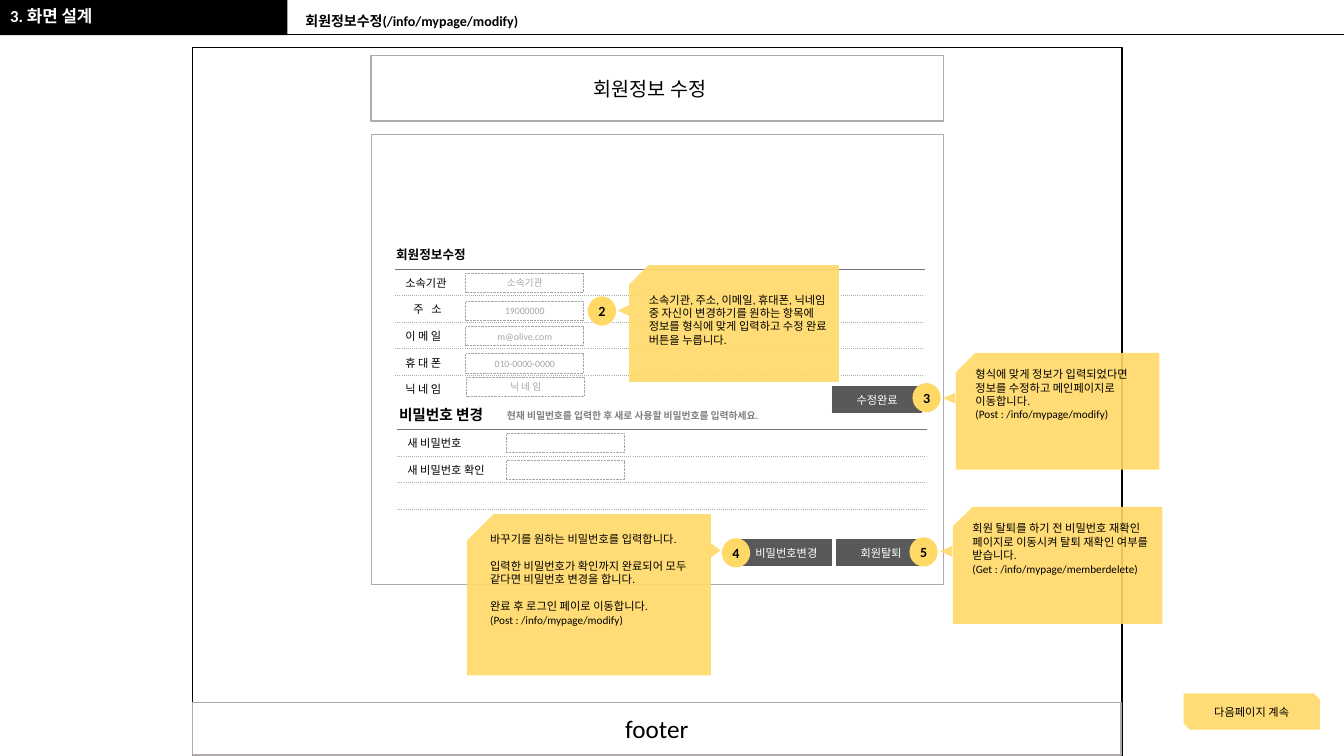
from lxml.etree import SubElement
from pptx import Presentation
from pptx.dml.color import RGBColor
from pptx.enum.dml import MSO_LINE
from pptx.enum.shapes import MSO_CONNECTOR, MSO_SHAPE
from pptx.enum.text import MSO_ANCHOR, MSO_AUTO_SIZE, PP_ALIGN
from pptx.oxml.ns import qn
from pptx.util import Inches, Pt

COLORS = {
    "black": "000000", "white": "FFFFFF", "frame": "AFABAB", "rule": "767171",
    "field": "A5A5A5", "hint": "A6A6A6", "button": "595959", "note": "FFD966",
    "guide": "808080",
}
RECT, OVAL = MSO_SHAPE.RECTANGLE, MSO_SHAPE.OVAL
LEFT, CENTER = PP_ALIGN.LEFT, PP_ALIGN.CENTER


def add_box(kind, at, fill, line=None, width=1, dash=None, alpha=None):
    sp = s.shapes.add_shape(kind, *[Inches(v) for v in at])
    sp.shadow.inherit = False
    sp.fill.solid()
    sp.fill.fore_color.rgb = RGBColor.from_string(COLORS[fill])
    if alpha:
        color = sp.fill._xPr.find(qn("a:solidFill"))[0]
        SubElement(color, qn("a:alpha"), val=str(alpha * 1000))
    if line:
        sp.line.color.rgb = RGBColor.from_string(COLORS[line])
        sp.line.width = Pt(width)
        sp.line.dash_style = dash
    else:
        sp.line.fill.background()
    return sp


def write(tf, lines, size, color="black", bold=False, align=CENTER,
          anchor=MSO_ANCHOR.MIDDLE, gaps=()):
    tf.word_wrap = True
    tf.vertical_anchor = anchor
    for i, line in enumerate(lines):
        p = tf.paragraphs[0] if i == 0 else tf.add_paragraph()
        p.alignment = align
        if i in gaps:
            p.space_before = Pt(size * 1.2)
        r = p.add_run()
        r.text = line
        style = {"name": "Calibri", "size": Pt(size), "bold": bold}
        for name, value in style.items():
            setattr(r.font, name, value)
        r.font.color.rgb = RGBColor.from_string(COLORS[color])


prs = Presentation()
prs.slide_width, prs.slide_height = Inches(13.33), Inches(7.5)
s = prs.slides.add_slide(prs.slide_layouts[2])

# Header band and its rule, behind the placeholders
title, path_label = s.placeholders[0], s.placeholders[1]
band = add_box(RECT, (0, 0, 2.85, 0.35), "black")
rule = s.shapes.add_connector(MSO_CONNECTOR.STRAIGHT, Inches(2.76), Inches(0.34),
                              Inches(13.33), Inches(0.34))
rule.line.color.rgb = RGBColor.from_string(COLORS["black"])
rule.line.width = Pt(0.5)
SubElement(rule.element.spPr, qn("a:effectLst"))
for back in (band, rule):
    title.element.addprevious(back.element)

# Header text
for ph, at, text, size, color in [
    (title, (0, 0.03, 2.85, 0.32), "3. 화면 설계", 12, "white"),
    (path_label, (2.93, 0.09, 8.57, 0.26), "회원정보수정(/info/mypage/modify)", 10, "black"),
]:
    for name, value in zip(("left", "top", "width", "height"), at):
        setattr(ph, name, Inches(value))
    write(ph.text_frame, [text], size, color, True, LEFT, MSO_ANCHOR.TOP)
    ph.text_frame.auto_size = MSO_AUTO_SIZE.NONE
    p = ph.text_frame.paragraphs[0]
    p.line_spacing, p.space_before = 0.9, Pt(0)

# Page frames
add_box(RECT, (1.91, 0.47, 9.22, 7.05), "white", "black")
add_box(RECT, (3.68, 1.33, 5.68, 4.47), "white", "frame", 0.25)
add_box(RECT, (3.68, 0.55, 5.68, 0.65), "white", "frame")
heading = s.shapes.add_textbox(Inches(5.79), Inches(0.71), Inches(1.47), Inches(0.34))
write(heading.text_frame, ["회원정보 수정"], 14, align=LEFT, anchor=MSO_ANCHOR.TOP)
footer = add_box(RECT, (1.91, 6.97, 9.21, 0.52), "white", "frame")
write(footer.text_frame, ["footer"], 18)

# Section labels
for at, text, size, color in [
    ((3.83, 2.37, 1.09, 0.31), "회원정보수정", 9, "black"),
    ((3.86, 3.96, 1.38, 0.31), "비밀번호 변경", 10.5, "black"),
    ((4.93, 3.99, 2.93, 0.26),
     "현재 비밀번호를 입력한 후 새로 사용할 비밀번호를 입력하세요.", 7, "guide"),
]:
    label = add_box(RECT, at, "white")
    write(label.text_frame, [text], size, color, True, LEFT)

# Form tables
for x, y, height, labels in [
    (3.92, 2.67, 1.32, ["소속기관", "주 소", "이 메 일", "휴 대 폰", "닉 네 임"]),
    (3.94, 4.26, 1.06, ["새 비밀번호", "새 비밀번호 확인", "", ""]),
]:
    table = s.shapes.add_table(len(labels), 1, Inches(x), Inches(y),
                               Inches(5.25), Inches(height)).table
    table.first_row = table.horz_banding = False
    style_id = table._tbl.tblPr.find(qn("a:tableStyleId"))
    style_id.text = "{2D5ABB26-0587-4C30-8999-92F81FD0307C}"
    for i, text in enumerate(labels):
        cell = table.cell(i, 0)
        cell.vertical_anchor = MSO_ANCHOR.MIDDLE
        tcPr = cell._tc.get_or_add_tcPr()
        edges = [("a:lnT", "rule", 1, "solid") if i == 0
                 else ("a:lnT", "frame", 0.75, "sysDot")]
        if i < len(labels) - 1:
            edges.append(("a:lnB", "frame", 0.75, "sysDot"))
        for tag, color, width, dash in edges:
            ln = SubElement(tcPr, qn(tag), w=str(Pt(width)))
            fill = SubElement(ln, qn("a:solidFill"))
            SubElement(fill, qn("a:srgbClr"), val=COLORS[color])
            SubElement(ln, qn("a:prstDash"), val=dash)
        cell.fill.background()
        p = cell.text_frame.paragraphs[0]
        if not text:
            SubElement(p._p, qn("a:endParaRPr"), sz="800")
            continue
        r = p.add_run()
        r.text = text
        r.font.name, r.font.size = "Calibri", Pt(8)
        r.font.color.rgb = RGBColor.from_string(COLORS["black"])
        if text == "주 소":
            cell.margin_left = Inches(0.18)
            r.font._element.set("spc", "180")

# Input fields
for x, y, text in [
    (4.62, 2.71, "소속기관"), (4.62, 2.99, "19000000"), (4.62, 3.24, "m@olive.com"),
    (4.62, 3.51, "010-0000-0000"), (4.63, 3.74, "닉 네 임"),
    (5.02, 4.3, ""), (5.02, 4.57, ""),
]:
    field = add_box(RECT, (x, y, 1.17, 0.19), "white", "field", 0.5, MSO_LINE.ROUND_DOT)
    if text:
        write(field.text_frame, [text], 7, "hint")

# Buttons
for x, y, text in [(8.28, 5.34, "회원탈퇴"), (7.34, 5.34, "비밀번호변경"),
                   (8.24, 3.82, "수정완료")]:
    button = add_box(RECT, (x, y, 0.92, 0.29), "button", "white", 1.5)
    write(button.text_frame, [text], 8, "white")

# Numbered markers
for x, y, number in [(5.83, 2.94, "2"), (9.05, 3.8, "3"), (7.16, 5.34, "4"),
                     (9.02, 5.33, "5")]:
    marker = add_box(OVAL, (x, y, 0.28, 0.29), "note")
    tf = marker.text_frame
    tf.margin_left = tf.margin_right = tf.margin_top = tf.margin_bottom = 0
    write(tf, [number], 10, bold=True)

# Notes with pointers: frame, pointer frame, rotation, top inset, lines, spaced lines
for at, tip, angle, inset, lines, gaps in [
    ((6.24, 2.63, 2.08, 1.16), (6.13, 3.02, 0.11, 0.12), 270, 0.18,
     ["소속기관, 주소, 이메일, 휴대폰, 닉네임 중 자신이 변경하기를 원하는 항목에 "
      "정보를 형식에 맞게 입력하고 수정 완료 버튼을 누릅니다."], ()),
    ((9.48, 3.5, 2.02, 1.16), (9.36, 3.89, 0.11, 0.12), 270, 0.05,
     ["형식에 맞게 정보가 입력되었다면 정보를 수정하고 메인페이지로 이동합니다.",
      "(Post : /info/mypage/modify)"], ()),
    ((9.45, 5.03, 2.08, 1.16), (9.33, 5.41, 0.11, 0.12), 270, 0.05,
     ["회원 탈퇴를 하기 전 비밀번호 재확인 페이지로 이동시켜 탈퇴 재확인 여부를 받습니다.",
      "(Get : /info/mypage/memberdelete)"], ()),
    ((4.63, 5.1, 2.42, 1.6), (7.02, 5.41, 0.15, 0.1), 90, 0.05,
     ["바꾸기를 원하는 비밀번호를 입력합니다.",
      "입력한 비밀번호가 확인까지 완료되어 모두 같다면 비밀번호 변경을 합니다.",
      "완료 후 로그인 페이로 이동합니다.", "(Post : /info/mypage/modify)"], (1, 2)),
]:
    note = add_box(MSO_SHAPE.SNIP_1_RECTANGLE, at, "note", alpha=90)
    note.element.spPr.find(qn("a:xfrm")).set("flipH", "1")
    note.text_frame.margin_top = Inches(inset)
    write(note.text_frame, lines, 8, align=LEFT, anchor=MSO_ANCHOR.TOP, gaps=gaps)
    pointer = add_box(MSO_SHAPE.ISOSCELES_TRIANGLE, tip, "note", alpha=90)
    pointer.rotation = angle

# Continuation tag
tag = add_box(MSO_SHAPE.SNIP_2_DIAG_RECTANGLE, (11.74, 6.88, 1.35, 0.36), "note", alpha=90)
write(tag.text_frame, ["다음페이지 계속"], 8)

prs.save("out.pptx")
